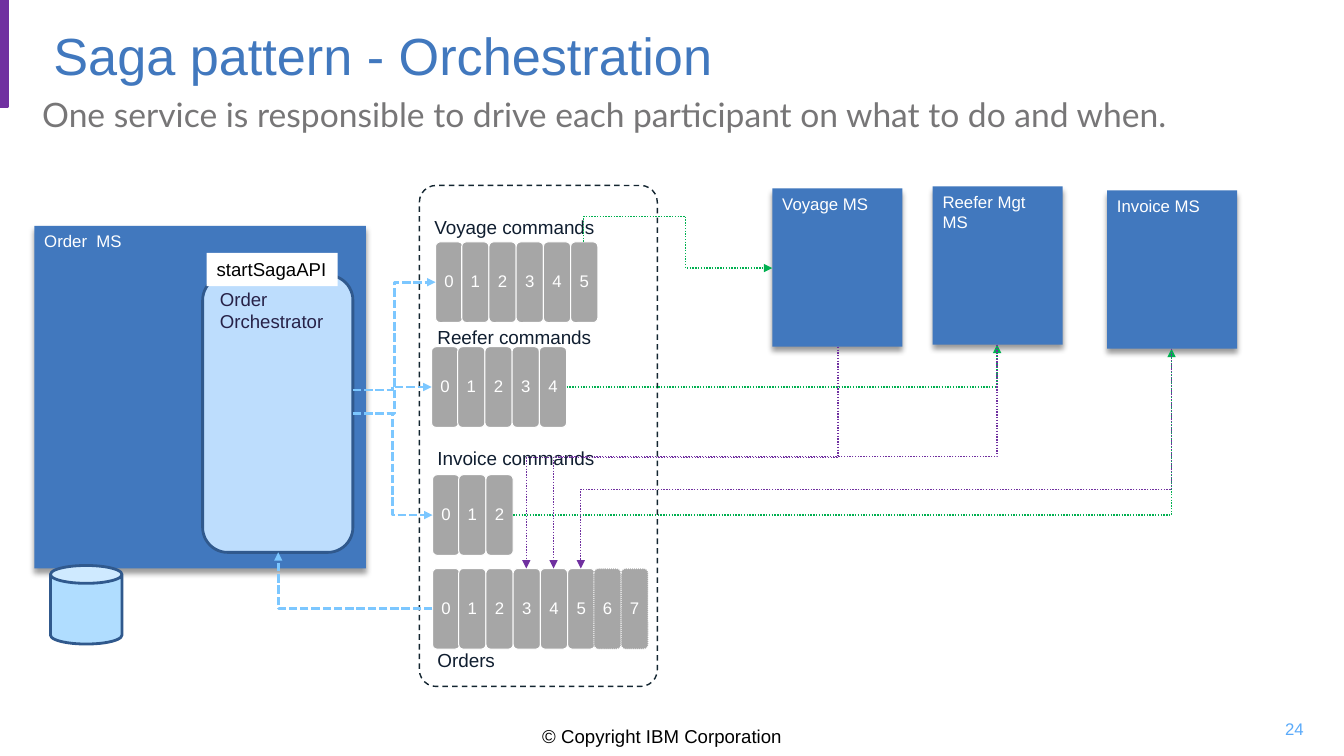
from dataclasses import dataclass

from lxml.etree import SubElement
from pptx import Presentation
from pptx.dml.color import RGBColor as RGB
from pptx.enum.dml import MSO_LINE as Dash
from pptx.enum.shapes import MSO_CONNECTOR as Conn, MSO_SHAPE as Form
from pptx.enum.text import MSO_ANCHOR as Anchor, MSO_AUTO_SIZE as Fit, PP_ALIGN as Align
from pptx.oxml.ns import qn
from pptx.util import Emu, Pt

PX = 9144  # EMU per px, 100 px to the inch


@dataclass(frozen=True)
class Theme:
    font: str = "Arial"
    lead_font: str = "Lato"
    blue: str = "4178BE"
    purple: str = "7030A0"
    green: str = "00B050"
    sky: str = "7CC7FF"
    pale: str = "BDDDFD"
    disk: str = "B0DDFF"
    edge: str = "30598D"
    cell: str = "A6A6A6"
    frame: str = "132530"
    label: str = "101E30"
    ink: str = "272248"
    lead: str = "777677"
    number: str = "5AAAFA"
    white: str = "FFFFFF"
    black: str = "000000"
    title_pt: float = 37.3
    lead_pt: float = 24
    label_pt: float = 13.5
    body_pt: float = 13.3
    small_pt: float = 12


def emu(*px):
    return [Emu(round(n * PX)) for n in px]


class Board:
    def __init__(self, slide, theme):
        self.slide, self.theme = slide, theme

    def letter(self, shape, text, size, color, font=None, align=Align.LEFT,
               anchor=Anchor.TOP, wrap=True):
        """Put styled text in a shape and return its text frame."""
        frame = shape.text_frame
        frame.text = text
        frame.word_wrap = wrap
        frame.auto_size = Fit.NONE if wrap else Fit.SHAPE_TO_FIT_TEXT
        frame.vertical_anchor = anchor
        for para in frame.paragraphs:
            para.alignment = align
            para.font.name = font or self.theme.font
            para.font.size = Pt(size)
            para.font.color.rgb = RGB.from_string(color)
        return frame

    def title(self, box, text):
        shape = self.slide.shapes.title
        shape.left, shape.top, shape.width, shape.height = emu(*box)
        self.letter(shape, text, self.theme.title_pt, self.theme.blue, anchor=Anchor.MIDDLE)

    def text(self, box, text, size, color, **style):
        shape = self.slide.shapes.add_textbox(*emu(*box))
        self.letter(shape, text, size, color, **style)

    def stroke(self, line, color, width, dash=None):
        line.color.rgb = RGB.from_string(color)
        line.width = Pt(width)
        if dash is not None:
            line.dash_style = dash

    def shape(self, form, box, fill=None, line=None, width=2, dash=None):
        shape = self.slide.shapes.add_shape(form, *emu(*box))
        shape.shadow.inherit = False
        if fill:
            shape.fill.solid()
            shape.fill.fore_color.rgb = RGB.from_string(fill)
        else:
            shape.fill.background()
        if line:
            self.stroke(shape.line, line, width, dash)
        else:
            shape.line.fill.background()
        return shape

    def service(self, box, text):
        """Draw a blue microservice box with a soft shadow below it."""
        shape = self.shape(Form.RECTANGLE, box, self.theme.blue)
        effects = shape.element.spPr.find(qn("a:effectLst"))
        shade = SubElement(effects, qn("a:outerShdw"), blurRad=str(Pt(4)),
                           dist=str(Pt(3)), dir="5400000", rotWithShape="0")
        color = SubElement(shade, qn("a:srgbClr"), val=self.theme.black)
        SubElement(color, qn("a:alpha"), val="40000")
        self.letter(shape, text, self.theme.small_pt, self.theme.white)

    def queue(self, left, top, count, solid=6):
        """Draw numbered cells; those from solid on have a dotted edge."""
        look = self.theme
        for i in range(count):
            dash = None if i < solid else Dash.ROUND_DOT
            box = (left + 134 * i // 5, top, 27, 80)
            shape = self.shape(Form.ROUNDED_RECTANGLE, box, look.cell, look.white, 0.75, dash)
            frame = self.letter(shape, str(i), look.small_pt, look.white,
                                align=Align.CENTER, anchor=Anchor.MIDDLE)
            frame.margin_left = frame.margin_right = frame.margin_top = frame.margin_bottom = 0
            frame.paragraphs[0].line_spacing = 0.9

    def wire(self, start, end, color, width=1, dash=Dash.ROUND_DOT,
             bend=3, adjust=(), upright=False):
        """Draw an elbow arrow; an upright one leaves its start vertically."""
        (x1, y1), (x2, y2) = start, end
        if upright:
            mid_x, mid_y = (x1 + x2) / 2, (y1 + y2) / 2
            wide, high = y2 - y1, x1 - x2
            x1, x2 = mid_x - wide / 2, mid_x + wide / 2
            y1, y2 = mid_y - high / 2, mid_y + high / 2
        conn = self.slide.shapes.add_connector(Conn.ELBOW, *emu(x1, y1, x2, y2))
        self.stroke(conn.line, color, width, dash)
        props = conn.element.spPr
        if upright:
            props.find(qn("a:xfrm")).set("rot", "5400000")
        geom = props.find(qn("a:prstGeom"))
        geom.set("prst", f"bentConnector{bend}")
        for i, value in enumerate(adjust, 1):
            SubElement(geom.find(qn("a:avLst")), qn("a:gd"), name=f"adj{i}",
                       fmla=f"val {round(value * 100000)}")
        SubElement(props.find(qn("a:ln")), qn("a:tailEnd"), type="triangle")
        SubElement(props, qn("a:effectLst"))


def main():
    deck = Presentation()
    deck.slide_width, deck.slide_height = emu(1333, 750)
    look = Theme()
    board = Board(deck.slides.add_slide(deck.slide_layouts[5]), look)

    board.shape(Form.RECTANGLE, (0, 0, 8, 106), look.purple, look.purple)
    board.title((43, 6, 1224, 96), "Saga pattern - Orchestration")
    board.text((32, 88, 1212, 120),
               "One service is responsible to drive each participant on what to do and when.",
               look.lead_pt, look.lead, font=look.lead_font)
    board.text((528, 714, 266, 33), "© Copyright IBM Corporation",
               look.body_pt, look.black, wrap=False)
    board.text((1245, 703, 58, 40), "24", look.small_pt, look.number,
               align=Align.RIGHT, anchor=Anchor.MIDDLE)

    for left, top, name in ((925, 185, "Reefer Mgt MS"), (766, 187, "Voyage MS"),
                            (1098, 189, "Invoice MS")):
        board.service((left, top, 129, 157), name)
    board.service((34, 224, 329, 340), "Order  MS")
    saga = board.shape(Form.ROUNDED_RECTANGLE, (201, 273, 149, 275), look.pale, look.edge)
    board.letter(saga, "Order\nOrchestrator", look.body_pt, look.ink)

    broker = board.shape(Form.ROUNDED_RECTANGLE, (416, 184, 236, 497),
                         line=look.frame, width=1, dash=Dash.DASH)
    broker.adjustments[0] = 0.07
    for left, top, count in ((432, 240, 6), (428, 344, 5), (429, 471, 3), (429, 564, 8)):
        board.queue(left, top, count)
    for left, top, wide, name in ((421, 209, 181, "Voyage commands"),
                                  (424, 318, 175, "Reefer commands"),
                                  (424, 438, 178, "Invoice commands"),
                                  (424, 639, 78, "Orders")):
        board.text((left, top, wide, 33), name, look.label_pt, look.label, wrap=False)

    for start, end, bend in (((350, 410), (432, 280), 3), ((350, 387), (428, 384), 3),
                             ((350, 410), (429, 511), 3), ((429, 604), (276, 548), 2)):
        board.wire(start, end, look.sky, 2, Dash.SQUARE_DOT, bend)
    board.wire((579, 240), (766, 266), look.green, bend=4,
               adjust=(-0.98, 0.54), upright=True)
    for start, end in (((562, 384), (989, 342)), ((509, 511), (1162, 346))):
        board.wire(start, end, look.green, bend=2)
    for start, end, turn in (((831, 344), (522, 564), 0.5), ((989, 342), (549, 564), 0.5),
                             ((1162, 346), (576, 564), 0.64)):
        board.wire(start, end, look.purple, adjust=(turn,), upright=True)

    entry = board.shape(Form.RECTANGLE, (205, 251, 130, 33), look.white)
    board.letter(entry, "startSagaAPI", look.body_pt, look.black, wrap=False)
    board.shape(Form.CAN, (50, 561, 71, 78), look.disk, look.edge)

    deck.save("out.pptx")


if __name__ == "__main__":
    main()
